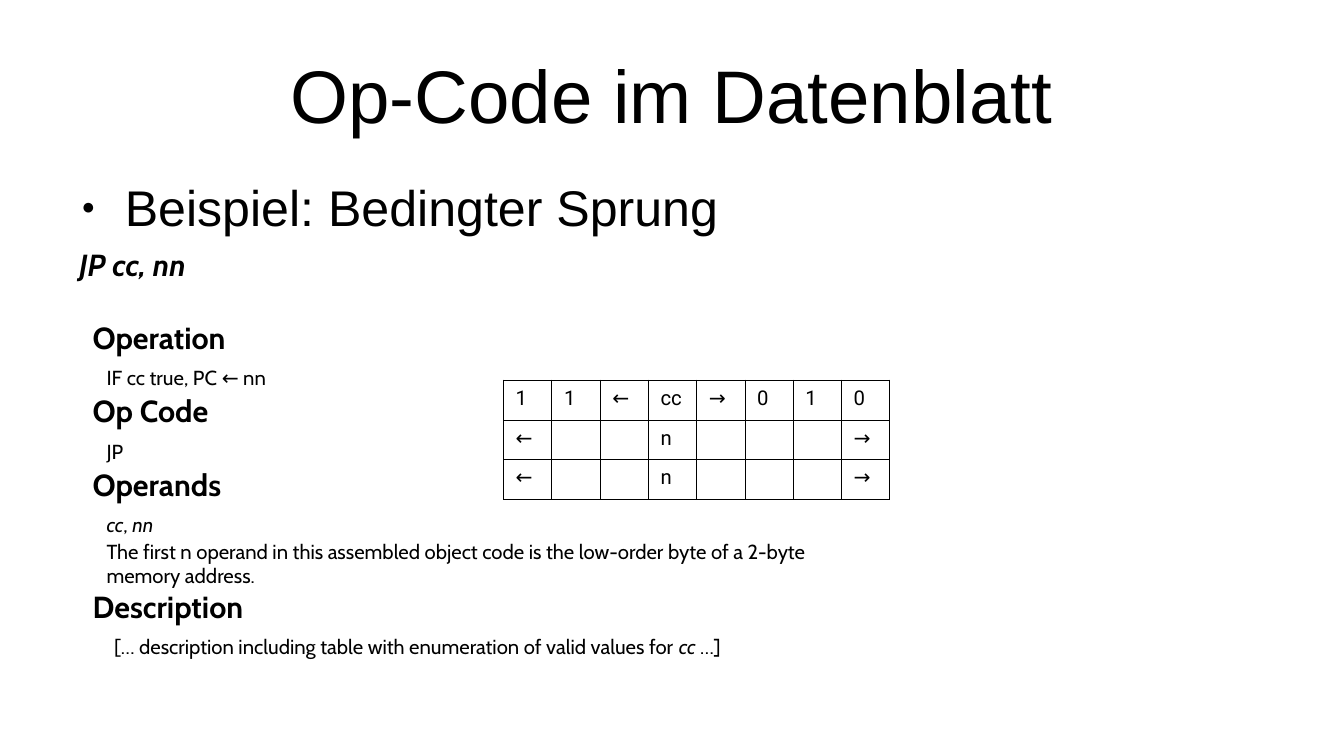
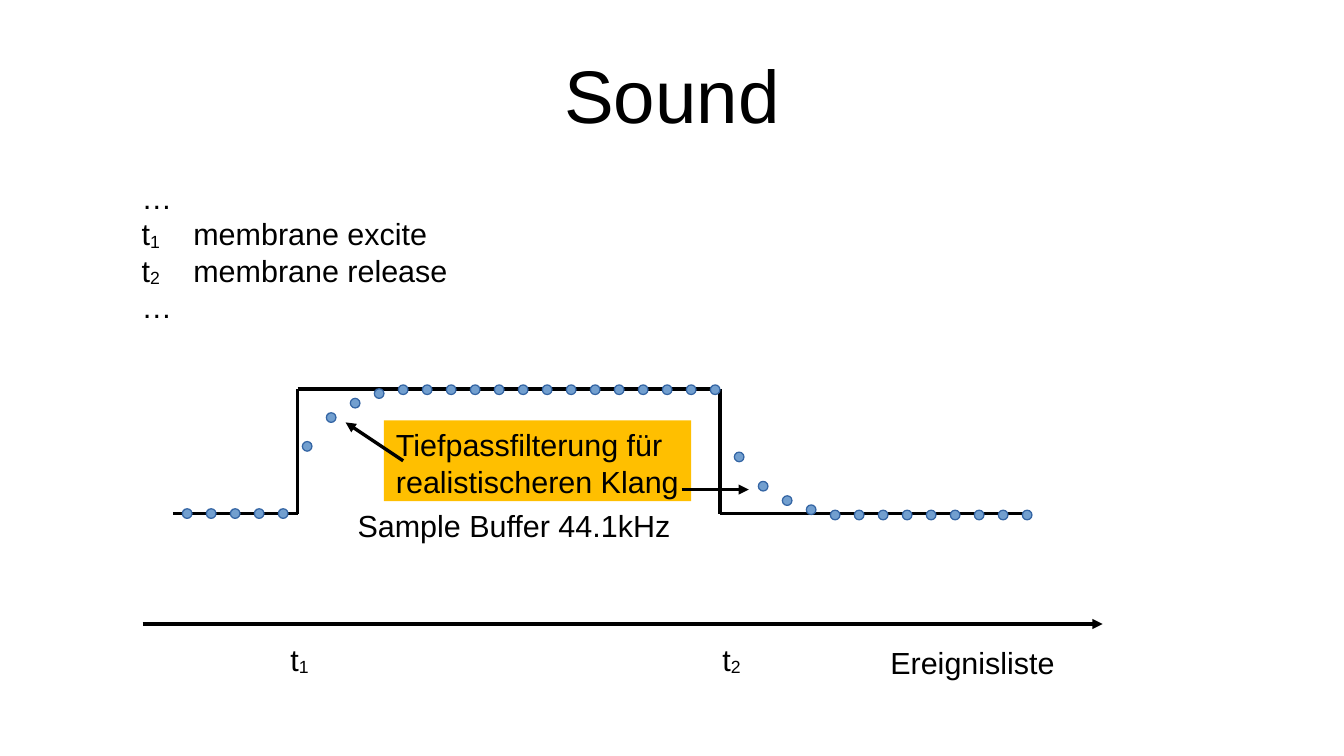
from dataclasses import dataclass
from itertools import pairwise

from lxml import etree
from pptx import Presentation
from pptx import util as u
from pptx.dml import color
from pptx.enum import shapes, text
from pptx.oxml import ns


@dataclass(frozen=True)
class Theme:
    black: str = "000000"
    dot_fill: str = "729FCF"
    dot_line: str = "3465A4"
    accent: str = "FFBF00"
    font: str = "Arial"
    manual_font: str = "Cabin"
    table_font: str = "Roboto"
    title: float = 44
    body: float = 29.6
    label: float = 18
    small: float = 12
    border: float = 0.57


@dataclass(frozen=True)
class Box:
    left: float
    top: float
    width: float
    height: float

    def lengths(self) -> tuple:
        return u.Cm(self.left), u.Cm(self.top), u.Cm(self.width), u.Cm(self.height)


@dataclass(frozen=True)
class Run:
    text: str
    bold: bool = False
    italic: bool = False
    baseline: int = 0


@dataclass(frozen=True)
class Para:
    runs: tuple
    size: float
    indent: float = 0
    hanging: float = 0
    before: float = 0
    after: float = 0


@dataclass(frozen=True)
class Label:
    box: Box
    runs: tuple


T = Theme()
TITLE_BOX = Box(1.4, 0.63, 25.2, 2.63)
SUB = -8000


def rgb(value: str) -> color.RGBColor:
    return color.RGBColor.from_string(value)


def add_node(parent, tag: str, **attrs: str):
    return etree.SubElement(parent, ns.qn(tag), attrs)


def add_run(p, run: Run, size: float, font: str) -> None:
    r = p.add_run()
    r.text = run.text
    r.font.size = u.Pt(size)
    r.font.name = font
    r.font.bold = run.bold
    r.font.italic = run.italic
    r.font.color.rgb = rgb(T.black)
    if run.baseline:
        r._r.get_or_add_rPr().set("baseline", str(run.baseline))


def set_indent(p, left: float, hanging: float = 0) -> None:
    pPr = p._p.get_or_add_pPr()
    pPr.set("marL", str(u.Cm(left)))
    pPr.set("indent", str(-u.Cm(hanging)))


def write(tf, paras: list[Para], font: str = T.font) -> None:
    for i, para in enumerate(paras):
        p = tf.paragraphs[0] if i == 0 else tf.add_paragraph()
        p.alignment = text.PP_ALIGN.LEFT
        p.space_before = u.Pt(para.before)
        p.space_after = u.Pt(para.after)
        set_indent(p, para.indent, para.hanging)
        for run in para.runs:
            add_run(p, run, para.size, font)


def fill_placeholder(sp, box: Box, anchor: text.MSO_ANCHOR):
    sp.left, sp.top, sp.width, sp.height = box.lengths()
    tf = sp.text_frame
    tf.margin_left = tf.margin_top = tf.margin_right = tf.margin_bottom = 0
    tf.auto_size = text.MSO_AUTO_SIZE.NONE
    tf.vertical_anchor = anchor
    return tf


def add_slide(prs, layout: int, title: str):
    slide = prs.slides.add_slide(prs.slide_layouts[layout])
    tf = fill_placeholder(slide.shapes.title, TITLE_BOX, text.MSO_ANCHOR.MIDDLE)
    p = tf.paragraphs[0]
    p.alignment = text.PP_ALIGN.CENTER
    add_run(p, Run(title), T.title, T.font)
    return slide


def add_text(slide, box: Box, paras: list[Para], font: str = T.font) -> None:
    tf = slide.shapes.add_textbox(*box.lengths()).text_frame
    tf.word_wrap = True
    write(tf, paras, font)


def add_line(slide, start: tuple, end: tuple, arrow: bool = False) -> None:
    points = [u.Cm(v) for v in (*start, *end)]
    c = slide.shapes.add_connector(shapes.MSO_CONNECTOR.STRAIGHT, *points)
    c.line.color.rgb = rgb(T.black)
    c.line.width = 0
    if arrow:
        add_node(c.line._get_or_add_ln(), "a:tailEnd", type="triangle")
    add_node(c._element.spPr, "a:effectLst")


def add_filled(slide, kind, box: Box, fill: str, line: str | None = None):
    sp = slide.shapes.add_shape(kind, *box.lengths())
    sp.shadow.inherit = False
    sp.fill.solid()
    sp.fill.fore_color.rgb = rgb(fill)
    if line:
        sp.line.color.rgb = rgb(line)
        sp.line.width = 0
    else:
        sp.line.fill.background()
    return sp


def add_bullet(slide, sp, box: Box, line: str) -> None:
    tf = fill_placeholder(sp, box, text.MSO_ANCHOR.TOP)
    write(tf, [Para((Run(line),), T.body, 1.2, 0.9, before=14.2)])
    pPr = tf.paragraphs[0]._p.get_or_add_pPr()
    add_node(add_node(pPr, "a:buClr"), "a:srgbClr", val=T.black)
    add_node(pPr, "a:buSzPct", val="45000")
    add_node(pPr, "a:buFont", typeface=T.font)
    add_node(pPr, "a:buChar", char="●")


def set_borders(cell) -> None:
    tcPr = cell._tc.get_or_add_tcPr()
    for i, side in enumerate(("a:lnL", "a:lnR", "a:lnT", "a:lnB")):
        ln = etree.Element(ns.qn(side), w=str(u.Pt(T.border)))
        add_node(add_node(ln, "a:solidFill"), "a:srgbClr", val=T.black)
        tcPr.insert(i, ln)


def add_bit_table(slide, box: Box, rows: list[list[str]]) -> None:
    frame = slide.shapes.add_table(len(rows), len(rows[0]), *box.lengths())
    table = frame.table
    table.first_row = table.horz_banding = False
    for y, row in enumerate(rows):
        for x, value in enumerate(row):
            cell = table.cell(y, x)
            cell.fill.background()
            set_borders(cell)
            p = cell.text_frame.paragraphs[0]
            if value:
                add_run(p, Run(value), T.small, T.table_font)
            else:
                add_node(p._p, "a:endParaRPr", sz=str(T.small * 100))


def heading(line: str, before: float = 0) -> Para:
    return Para((Run(line, bold=True),), T.label, 0.28, before=before)


def detail(*runs: Run, indent: float = 0.57, before: float = 5.8, after: float = 1.5) -> Para:
    return Para(runs, T.small, indent, before=before, after=after)


def build_opcode(prs) -> None:
    slide = add_slide(prs, 1, "Op-Code im Datenblatt")
    add_bullet(slide, slide.placeholders[1], Box(1.4, 3.68, 25.2, 1.12),
               "Beispiel: Bedingter Sprung")
    manual = [
        Para((Run("JP cc, nn", bold=True, italic=True),), T.label),
        heading("Operation", before=21.6),
        detail(Run("IF cc true, PC ← nn")),
        heading("Op Code"),
        detail(Run("JP")),
        heading("Operands"),
        detail(Run("cc", italic=True), Run(", "), Run("nn", italic=True)),
        detail(Run("The first n operand in this assembled object code is the "
                   "low-order byte of a 2-byte"), before=0, after=0),
        detail(Run("memory address."), before=0, after=0),
        heading("Description"),
        detail(Run("[… description including table with enumeration of valid values for "),
               Run("cc", italic=True), Run(" …]"), indent=0.73),
    ]
    add_text(slide, Box(1.4, 5, 19.4, 10), manual, T.manual_font)
    operand = ["←", "", "", "n", "", "", "", "→"]
    add_bit_table(slide, Box(10.49, 7.92, 8.05, 2.49),
                  [["1", "1", "←", "cc", "→", "0", "1", "0"], operand, operand])


def time_mark(index: str) -> tuple:
    return Run("t"), Run(index, baseline=SUB)


def build_sound(prs) -> None:
    slide = add_slide(prs, 5, "Sound")
    events = [
        (Run("…"),),
        (*time_mark("1"), Run("\tmembrane excite")),
        (*time_mark("2"), Run("\tmembrane release")),
        (Run("…"),),
    ]
    add_text(slide, Box(2, 3.6, 22, 3.5),
             [Para(runs, T.label, 1.78, 1.08) for runs in events])
    add_line(slide, (2.97, 13), (22.97, 13), arrow=True)

    low, high = 10.7, 8.1
    wave = [(3.6, low), (6.2, low), (6.2, high), (15, high), (15, low), (21.4, low)]
    for start, end in pairwise(wave):
        add_line(slide, start, end)

    labels = [
        Label(Box(5.8, 13.23, 1, 1.17), time_mark("1")),
        Label(Box(14.8, 13.23, 1, 1.17), time_mark("2")),
        Label(Box(18.3, 13.3, 5.6, 0.97), (Run("Ereignisliste"),)),
        Label(Box(7.2, 10.43, 7.2, 0.97), (Run("Sample Buffer 44.1kHz"),)),
    ]
    for label in labels:
        add_text(slide, label.box, [Para(label.runs, T.label)])

    first, pitch, dot = 3.8, 0.5, 0.2
    samples = ([10.6] * 5 + [9.2, 8.6, 8.3, 8.1] + [8.02] * 14
               + [9.42, 10.03, 10.33, 10.52] + [10.63] * 9)
    for i, top in enumerate(samples):
        add_filled(slide, shapes.MSO_SHAPE.OVAL, Box(first + i * pitch, top, dot, dot),
                   T.dot_fill, T.dot_line)

    note = add_filled(slide, shapes.MSO_SHAPE.RECTANGLE, Box(8, 8.76, 6.4, 1.68), T.accent)
    tf = note.text_frame
    tf.word_wrap = False
    tf.vertical_anchor = text.MSO_ANCHOR.TOP
    write(tf, [Para((Run(line),), T.label)
               for line in ("Tiefpassfilterung für", "realistischeren Klang")])
    add_line(slide, (8.4, 9.6), (7.2, 8.8), arrow=True)
    add_line(slide, (14.2, 10.2), (15.6, 10.2), arrow=True)


def main() -> None:
    prs = Presentation()
    prs.slide_width, prs.slide_height = u.Cm(28), u.Cm(15.75)
    build_opcode(prs)
    build_sound(prs)
    prs.save("out.pptx")


if __name__ == "__main__":
    main()
